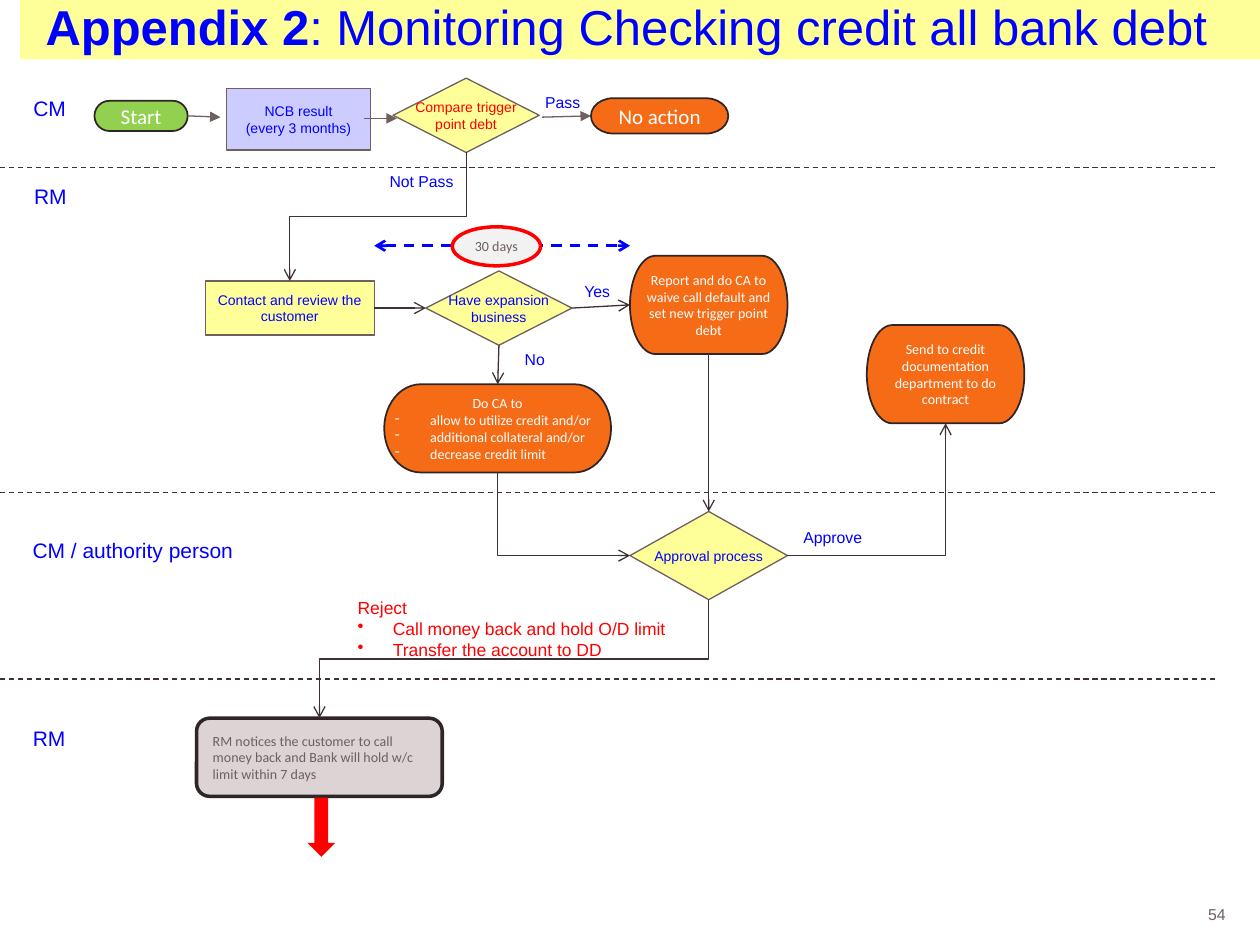
from lxml.etree import SubElement
from pptx import Presentation
from pptx.dml.color import RGBColor as Color
from pptx.enum.dml import MSO_LINE as Dash
from pptx.enum.shapes import MSO_CONNECTOR as Link, MSO_SHAPE as Kind
from pptx.enum.text import MSO_ANCHOR as Anchor, MSO_AUTO_SIZE as Fit, PP_ALIGN as Align
from pptx.oxml.ns import qn
from pptx.util import Inches, Pt

BLUE = Color(0x00, 0x00, 0xFF)
RED = Color(0xFF, 0x00, 0x00)
WHITE = Color(0xFF, 0xFF, 0xFF)
YELLOW = Color(0xFF, 0xFF, 0x99)
LILAC = Color(0xCC, 0xCC, 0xFF)
GREEN = Color(0x92, 0xD0, 0x50)
ORANGE = Color(0xF6, 0x6B, 0x16)
PALE = Color(0xF2, 0xF2, 0xF2)
ROSE = Color(0xDC, 0xD3, 0xD4)
GRAY = Color(0x6F, 0x5F, 0x5E)
DARK = Color(0x2F, 0x25, 0x26)
WIRE = Color(0x3F, 0x31, 0x33)
RULE = Color(0x40, 0x32, 0x34)

STEP = dict(fill=YELLOW, edge=GRAY, size=8, face="Arial", color=BLUE)
CHOICE = dict(STEP, kind=Kind.FLOWCHART_DECISION, wrap=False)
END = dict(kind=Kind.FLOWCHART_TERMINATOR, fill=ORANGE, edge=DARK, width=1,
           size=8, face="Calibri", color=WHITE, pad=0)


def put(item, **form):
    """Set each format value on the item."""
    for name, value in form.items():
        setattr(item, name, value)


def place(box, x, y, w, h):
    """Turn a spot inside the box into slide lengths."""
    return [Inches(v) for v in (box[0] + x, box[1] + y, w, h)]


def write(frame, lines, size, face, color, align=Align.CENTER, mark=None):
    """Fill the frame with lines; those after the first may have a bullet."""
    for i, line in enumerate(lines):
        para = frame.paragraphs[0] if i == 0 else frame.add_paragraph()
        para.alignment = align
        if mark and i:
            para.alignment = Align.LEFT
            props = para._p.get_or_add_pPr()
            props.set("marL", str(Inches(0.28)))
            props.set("indent", str(-Inches(0.28)))
            SubElement(props, qn("a:buChar"), char=mark)
        run = para.add_run()
        run.text = line
        put(run.font, size=Pt(size), name=face)
        run.font.color.rgb = color


def label(page, spot, *lines, size=9, face="Arial", color=BLUE, **form):
    """Add a text box without wrapping."""
    frame = page.shapes.add_textbox(*spot).text_frame
    frame.word_wrap = False
    write(frame, lines, size, face, color, **form)


def node(page, spot, *lines, kind=Kind.FLOWCHART_PROCESS, fill, edge=None,
         width=0.75, pad=0.02, wrap=True, **form):
    """Add a filled shape with its text."""
    shape = page.shapes.add_shape(kind, *spot)
    shape.shadow.inherit = False
    shape.fill.solid()
    shape.fill.fore_color.rgb = fill
    if edge is None:
        shape.line.fill.background()
    else:
        shape.line.color.rgb = edge
        shape.line.width = Pt(width)
    put(shape.text_frame, margin_left=Inches(pad), margin_right=Inches(pad),
        word_wrap=wrap, vertical_anchor=Anchor.MIDDLE)
    if lines:
        write(shape.text_frame, lines, **form)
    return shape


def draw(wire, color=WIRE, width=0.75, dash=None, head=None, tail="arrow"):
    """Style a connector and its arrowheads."""
    wire.line.color.rgb = color
    put(wire.line, width=Pt(width), dash_style=dash)
    pen = wire.line._get_or_add_ln()
    for tag, tip in (("a:headEnd", head), ("a:tailEnd", tail)):
        if tip:
            SubElement(pen, qn(tag), type=tip)
    SubElement(wire._element.spPr, qn("a:effectLst"))


def line(page, box, x1, y1, x2, y2, start=None, end=None, **form):
    """Draw a straight line inside the box, joined to shapes if given."""
    ends = [Inches(v) for v in (box[0] + x1, box[1] + y1, box[0] + x2, box[1] + y2)]
    wire = page.shapes.add_connector(Link.STRAIGHT, *ends)
    if start:
        wire.begin_connect(*start)
    if end:
        wire.end_connect(*end)
    draw(wire, **form)


def join(page, start, end):
    """Join two shape sides with a straight arrow."""
    line(page, (0, 0), 0, 0, 1, 1, start, end)


def site(shape, side):
    """Find the middle of a side: 0 top, 1 left, 2 bottom, 3 right."""
    fx, fy = ((0.5, 0), (0, 0.5), (0.5, 1), (1, 0.5))[side]
    return shape.left + shape.width * fx, shape.top + shape.height * fy


def bend(page, start, end, form="bentConnector3", turn=0, flip=None):
    """Draw an elbow arrow between two shape sides."""
    (x1, y1), (x2, y2) = site(*start), site(*end)
    w, h = abs(x2 - x1), abs(y2 - y1)
    if turn:
        w, h = h, w
    left, top = (x1 + x2 - w) / 2, (y1 + y2 - h) / 2
    ends = [int(v) for v in (left, top, left + w, top + h)]
    wire = page.shapes.add_connector(Link.ELBOW, *ends)
    props = wire._element.spPr
    props.find(qn("a:prstGeom")).set("prst", form)
    frame = props.find(qn("a:xfrm"))
    frame.set("rot", str(turn * 60000))
    if flip:
        frame.set(flip, "1")
    draw(wire)


def lane(page, box, name, spot, rule=True, **form):
    """Name a lane and rule off its lower edge."""
    label(page, place(box, *spot), name, size=12, **form)
    if rule:
        line(page, box, 0, box[3], box[2], box[3], color=RULE, dash=Dash.DASH, tail=None)


def title(page, box):
    """Place the heading band."""
    head = page.shapes.title
    put(head, **dict(zip(("left", "top", "width", "height"), place(box, 0, 0, *box[2:]))))
    head.fill.solid()
    head.fill.fore_color.rgb = YELLOW
    frame = head.text_frame
    put(frame, auto_size=Fit.NONE, word_wrap=True, vertical_anchor=Anchor.MIDDLE,
        margin_right=Inches(0.32))
    para = frame.paragraphs[0]
    put(para, alignment=Align.CENTER, line_spacing=0.9)
    parts = (("Appendix 2", True), (": Monitoring Checking credit all bank debt", False))
    for text, bold in parts:
        run = para.add_run()
        run.text = text
        put(run.font, size=Pt(28), name="Arial", bold=bold)
        run.font.color.rgb = BLUE


def check(page, box):
    """Place the credit check lane and return its decision."""
    lane(page, box, "CM", (0.16, 0.21, 0.47, 0.3))
    start = node(page, place(box, 0.75, 0.3, 0.74, 0.24), "Start",
                 **dict(END, fill=GREEN, size=12))
    node(page, place(box, 1.8, 0.2, 1.14, 0.49), "NCB result", "(every 3 months)",
         **dict(STEP, fill=LILAC))
    test = node(page, place(box, 3.12, 0.12, 1.16, 0.59), "Compare trigger",
                "point debt", **dict(CHOICE, color=RED))
    stop = node(page, place(box, 4.69, 0.28, 1.09, 0.28), "No action",
                **dict(END, size=12))
    form = dict(color=GRAY, tail="triangle")
    line(page, box, 1.49, 0.42, 1.75, 0.43, start=(start, 3), **form)
    line(page, box, 2.89, 0.44, 3.15, 0.44, **form)
    line(page, box, 4.3, 0.43, 4.69, 0.42, end=(stop, 1), **form)
    label(page, place(box, 4.22, 0.19, 0.49, 0.25), "Pass")
    return test


def review(page, box):
    """Place the customer review lane and return the shapes linked to others."""
    lane(page, box, "RM", (0.16, 0.08, 0.48, 0.3))
    visit = node(page, place(box, 1.63, 0.9, 1.34, 0.43),
                 "Contact and review the customer", **STEP)
    grow = node(page, place(box, 3.38, 0.82, 1.16, 0.59), "Have expansion",
                "business", **CHOICE)
    waive = node(page, place(box, 5, 0.7, 1.25, 0.78),
                 "Report and do CA to waive call default and set new trigger point debt",
                 **END)
    plan = node(page, place(box, 3.05, 1.72, 1.8, 0.7), "Do CA to",
                "allow to utilize credit and/or", "additional collateral and/or",
                "decrease credit limit", mark="-", **END)
    send = node(page, place(box, 6.88, 1.25, 1.25, 0.78),
                "Send to credit documentation department to do contract", **END)
    join(page, (visit, 3), (grow, 1))
    join(page, (grow, 3), (waive, 1))
    join(page, (grow, 2), (plan, 0))
    line(page, box, 2.97, 0.62, 5, 0.62, color=BLUE, width=1.5, dash=Dash.DASH, head="arrow")
    node(page, place(box, 3.59, 0.47, 0.7, 0.31), "30 days", kind=Kind.OVAL, fill=PALE,
         edge=RED, width=2, wrap=False, size=8, face="Calibri", color=GRAY)
    for text, x, y, w in (("Not Pass", 2.97, -0.02, 0.75), ("Yes", 4.51, 0.86, 0.46),
                          ("No", 4.06, 1.4, 0.37)):
        label(page, place(box, x, y, w, 0.25), text)
    return visit, waive, plan, send


def approve(page, box):
    """Place the approval lane and return its decision."""
    lane(page, box, "CM / authority person", (0.16, 0.31, 1.88, 0.3), align=Align.LEFT)
    test = node(page, place(box, 5, 0.15, 1.25, 0.7), "Approval process", **CHOICE)
    label(page, place(box, 6.23, 0.23, 0.76, 0.25), "Approve")
    label(page, place(box, 2.74, 0.78, 2.93, 0.61), "Reject",
          "Call money back and hold O/D limit", "Transfer the account to DD",
          size=10, color=RED, align=Align.LEFT, mark="•")
    return test


def notice(page, box):
    """Place the customer notice lane and return its card."""
    lane(page, box, "RM", (0.15, 0.32, 0.48, 0.3), rule=False)
    card = node(page, place(box, 1.56, 0.31, 1.95, 0.62),
                "RM notices the customer to call money back and Bank will hold w/c "
                "limit within 7 days", kind=Kind.ROUNDED_RECTANGLE, fill=ROSE, edge=DARK,
                width=2, pad=0.1, size=8, face="Calibri", color=GRAY, align=Align.LEFT)
    node(page, place(box, 2.44, 0.94, 0.22, 0.47), kind=Kind.DOWN_ARROW, fill=RED)
    label(page, place(box, 9.49, 1.74, 0.36, 0.25), "54", color=GRAY, align=Align.LEFT)
    return card


def main():
    """Build the slide and save it."""
    deck = Presentation()
    put(deck, slide_width=Inches(10), slide_height=Inches(7.5))
    page = deck.slides.add_slide(deck.slide_layouts[5])
    title(page, (0.16, 0, 9.84, 0.47))
    test = check(page, (0, 0.5, 9.67, 0.83))
    visit, waive, plan, send = review(page, (0, 1.33, 9.67, 2.58))
    vote = approve(page, (0, 3.91, 9.67, 1.48))
    card = notice(page, (0, 5.39, 9.67, 2.11))
    join(page, (waive, 2), (vote, 0))
    bend(page, (test, 2), (visit, 0), turn=90)
    bend(page, (vote, 2), (card, 0), turn=90)
    bend(page, (vote, 3), (send, 2), "bentConnector2", flip="flipV")
    bend(page, (plan, 2), (vote, 1), "bentConnector2", turn=270, flip="flipH")
    deck.save("out.pptx")


if __name__ == "__main__":
    main()
